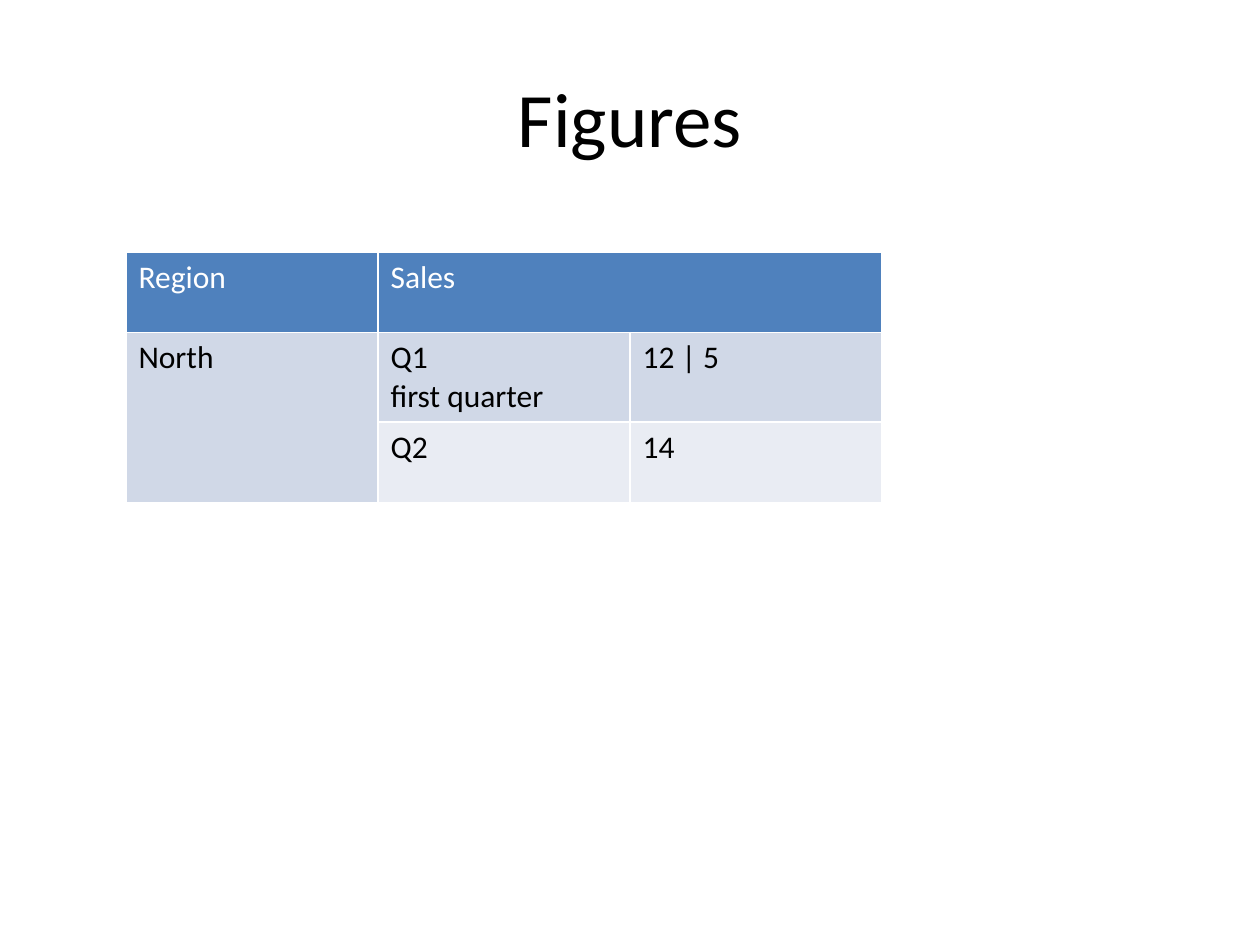
from pptx import Presentation
from pptx.dml.color import RGBColor
from pptx.enum.text import MSO_ANCHOR, PP_ALIGN
from pptx.util import Inches, Pt

MIDDLE = MSO_ANCHOR.MIDDLE
CENTER = PP_ALIGN.CENTER
BLACK = RGBColor(0x00, 0x00, 0x00)
WHITE = RGBColor(0xFF, 0xFF, 0xFF)
HEADER_BLUE = RGBColor(0x4F, 0x81, 0xBD)
BAND_DARK = RGBColor(0xD0, 0xD8, 0xE7)
BAND_LIGHT = RGBColor(0xE9, 0xEC, 0xF3)
FONT_NAME = "Calibri"
TITLE_ONLY = 5

SALES_ROWS = [
    (0.64, HEADER_BLUE, WHITE, ["Region", "Sales", ""]),
    (0.71, BAND_DARK, BLACK, ["North", "Q1\nfirst quarter", "12 | 5"]),
    (0.64, BAND_LIGHT, BLACK, ["", "Q2", "14"]),
]


def format_text(frame, size, color):
    """Give every run of a text frame the same font."""
    for para in frame.paragraphs:
        for span in para.runs:
            span.font.name = FONT_NAME
            span.font.size = Pt(size)
            span.font.bold = False
            span.font.color.rgb = color


def place_title(page, left, top, width, height):
    """Place the slide title in the given box."""
    title = page.shapes.title
    title.left, title.top = Inches(left), Inches(top)
    title.width, title.height = Inches(width), Inches(height)
    frame = title.text_frame
    frame.text = "Figures"
    frame.vertical_anchor = MIDDLE
    frame.paragraphs[0].alignment = CENTER
    format_text(frame, 44, BLACK)


def place_sales_table(page, left, top, width, height):
    """Place the sales table with its merged header and region cells."""
    column_count = len(SALES_ROWS[0][3])
    table = page.shapes.add_table(
        len(SALES_ROWS), column_count,
        Inches(left), Inches(top), Inches(width), Inches(height),
    ).table
    for column in table.columns:
        column.width = Inches(width / column_count)
    for row, (row_height, fill, color, texts) in zip(table.rows, SALES_ROWS):
        row.height = Inches(row_height)
        for cell, text in zip(row.cells, texts):
            cell.fill.solid()
            cell.fill.fore_color.rgb = fill
            cell.text_frame.text = text
            format_text(cell.text_frame, 18, color)
    table.cell(0, 1).merge(table.cell(0, 2))
    table.cell(1, 0).merge(table.cell(2, 0))


def main():
    """Build the deck and save it."""
    deck = Presentation()
    deck.slide_width, deck.slide_height = Inches(10), Inches(7.5)
    page = deck.slides.add_slide(deck.slide_layouts[TITLE_ONLY])
    place_title(page, 0.5, 0.3, 9, 1.25)
    place_sales_table(page, 1, 2, 6, 2)
    deck.save("out.pptx")


if __name__ == "__main__":
    main()
